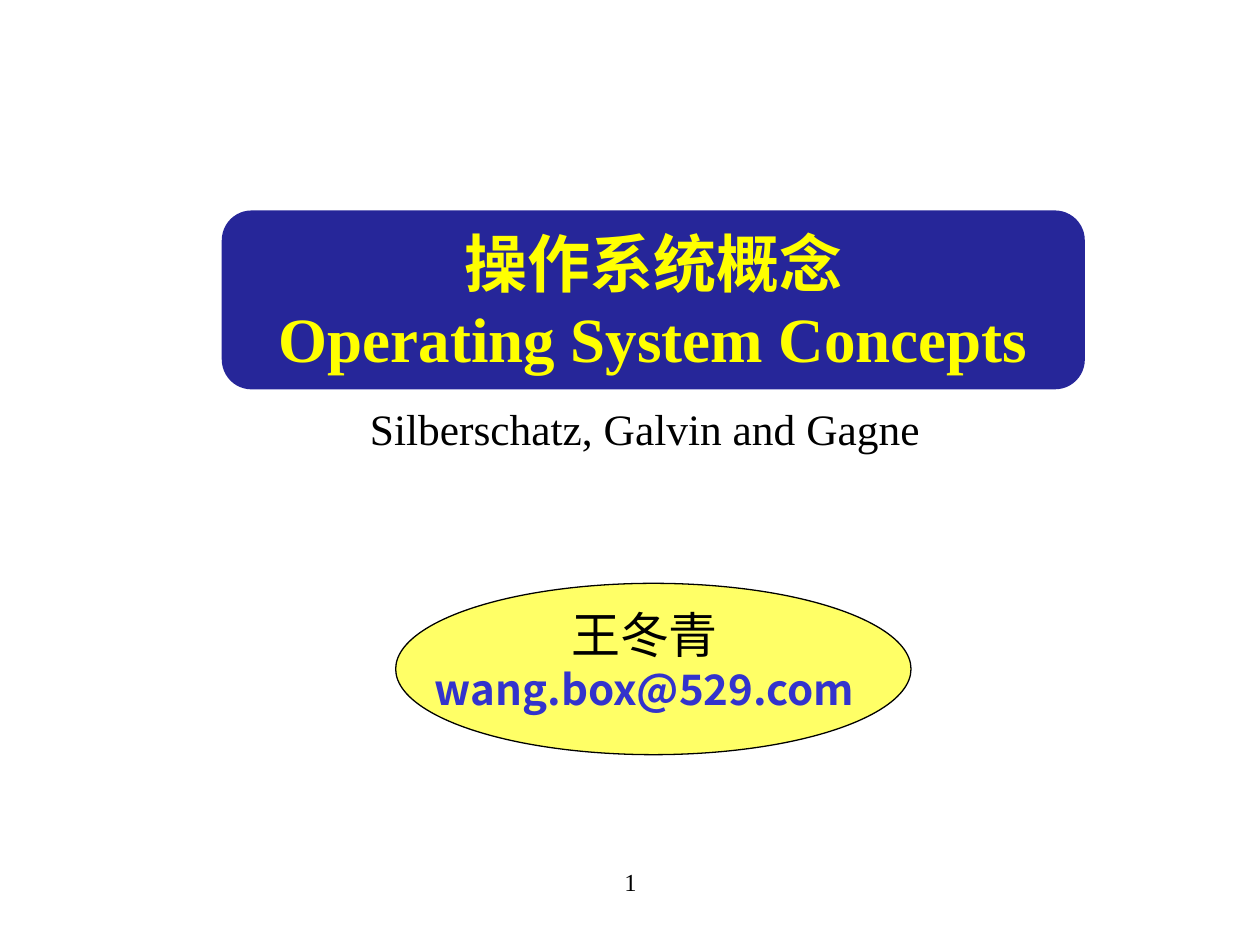
from dataclasses import dataclass

from lxml import etree
from pptx import Presentation
from pptx.dml.color import RGBColor
from pptx.enum.shapes import MSO_SHAPE
from pptx.enum.text import MSO_ANCHOR, PP_ALIGN
from pptx.oxml.ns import qn
from pptx.util import Inches, Pt

CENTER = PP_ALIGN.CENTER
TOP, MIDDLE = MSO_ANCHOR.TOP, MSO_ANCHOR.MIDDLE
ROUNDED, OVAL = MSO_SHAPE.ROUNDED_RECTANGLE, MSO_SHAPE.OVAL
SERIF, SANS = "Times New Roman", "Noto Sans CJK SC"
COLORS = {
    "banner": "262699",
    "title": "FFFF00",
    "oval": "FFFF66",
    "text": "000000",
    "mail": "3333CC",
}


@dataclass(frozen=True)
class Line:
    text: str
    size: float
    color: str = "text"
    font: str = SERIF
    bold: bool = False


@dataclass(frozen=True)
class Area:
    left: float
    top: float
    width: float
    height: float

    def lengths(self) -> list:
        return [Inches(n) for n in (self.left, self.top, self.width, self.height)]


def color(name: str) -> RGBColor:
    return RGBColor.from_string(COLORS[name])


def write(shape, lines: list[Line], anchor=MIDDLE, inset: float = 0.05) -> None:
    frame = shape.text_frame
    frame.word_wrap = True
    frame.vertical_anchor = anchor
    frame.margin_top = Inches(inset)
    frame.text = "\n".join(line.text for line in lines)
    for para, line in zip(frame.paragraphs, lines):
        para.alignment = CENTER
        for span in para.runs:
            span.font.name = line.font
            span.font.size = Pt(line.size)
            span.font.bold = line.bold
            span.font.color.rgb = color(line.color)
            properties = span.font._element
            etree.SubElement(properties, qn("a:ea")).set("typeface", SANS)


def add_text(page, area: Area, lines: list[Line], anchor=MIDDLE, inset: float = 0.05) -> None:
    write(page.shapes.add_textbox(*area.lengths()), lines, anchor, inset)


def add_filled(page, kind, area: Area, fill: str):
    shape = page.shapes.add_shape(kind, *area.lengths())
    shape.shadow.inherit = False
    shape.fill.solid()
    shape.fill.fore_color.rgb = color(fill)
    return shape


def main() -> None:
    """Build the title slide of the operating systems course."""
    deck = Presentation()
    deck.slide_width, deck.slide_height = Inches(10), Inches(7.5)
    page = deck.slides.add_slide(deck.slide_layouts[6])

    add_text(page, Area(3.42, 6.83, 3.17, 0.5), [Line("1", 14)], TOP)

    banner = add_filled(page, ROUNDED, Area(1.76, 1.67, 6.85, 1.42), "banner")
    banner.line.fill.background()
    title = "操作系统概念\vOperating System Concepts"
    write(banner, [Line(title, 36, "title", bold=True)])

    oval = add_filled(page, OVAL, Area(3.14, 4.63, 4.09, 1.36), "oval")
    oval.line.color.rgb = color("text")
    oval.line.width = Pt(0.75)
    lecturer = [
        Line("王冬青", 28),
        Line("wang.box@529.com", 24, "mail", SANS, True),
    ]
    add_text(page, Area(3.02, 4.75, 4.19, 0.97), lecturer)

    authors = [Line("Silberschatz, Galvin and Gagne", 24.8)]
    add_text(page, Area(1.78, 3.09, 6.68, 0.53), authors, TOP, 0.1)

    deck.save("out.pptx")


if __name__ == "__main__":
    main()
